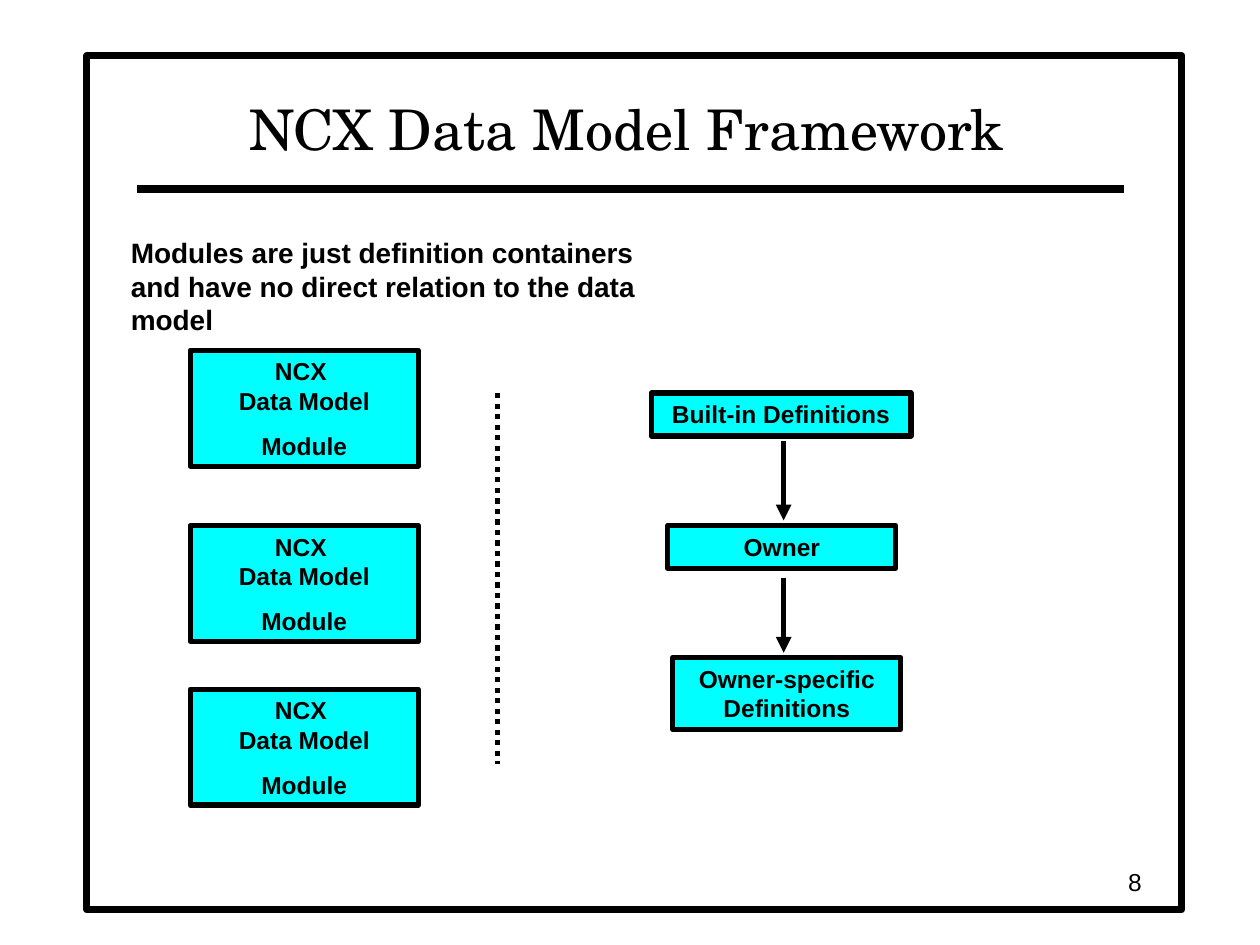
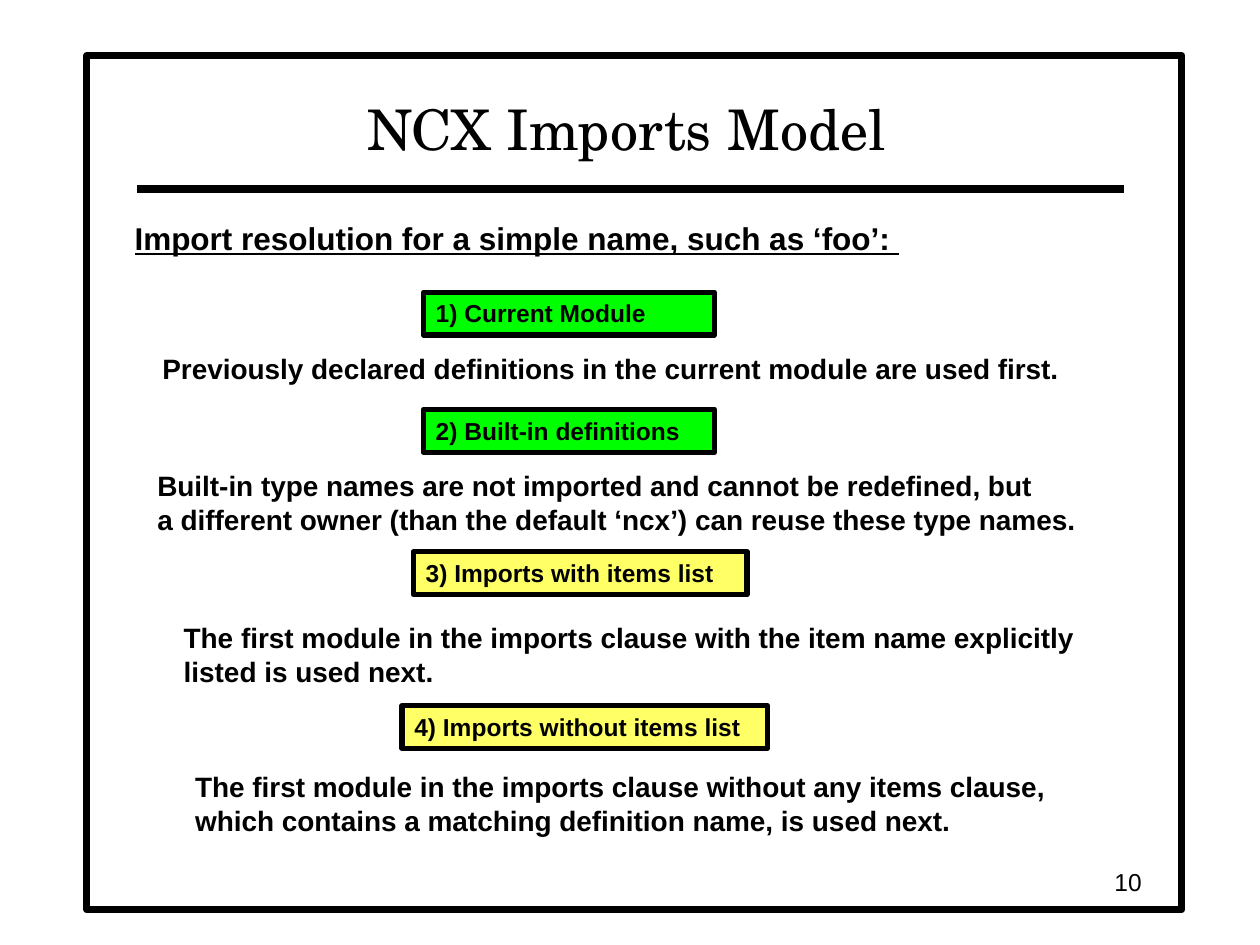
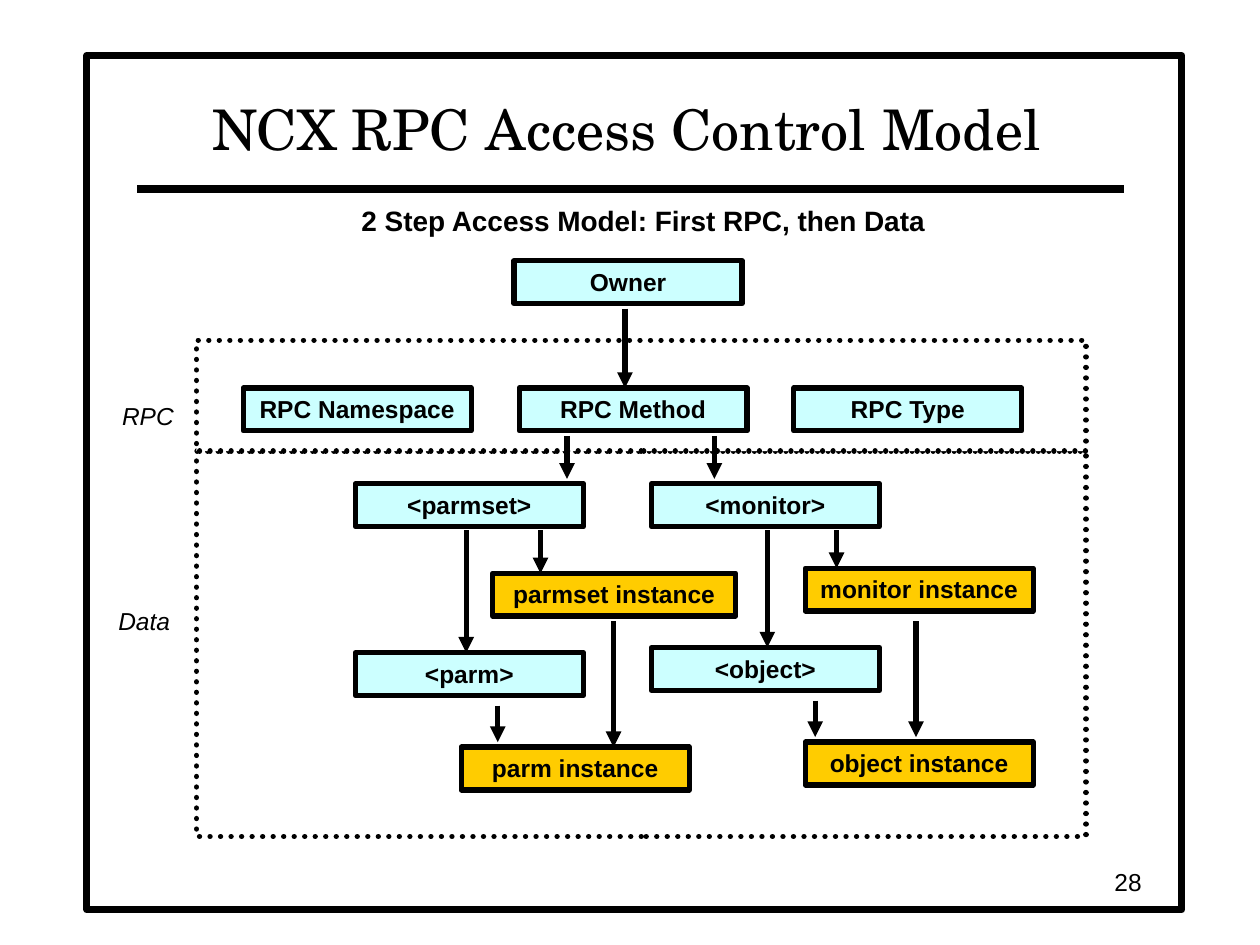
from lxml.etree import SubElement
from pptx import Presentation
from pptx.dml.color import RGBColor
from pptx.enum.dml import MSO_LINE
from pptx.enum.shapes import MSO_CONNECTOR, MSO_SHAPE
from pptx.enum.text import MSO_ANCHOR, MSO_AUTO_SIZE, PP_ALIGN
from pptx.oxml.ns import qn
from pptx.util import Inches, Pt

BLACK = RGBColor(0x00, 0x00, 0x00)
WHITE = RGBColor(0xFF, 0xFF, 0xFF)
CYAN = RGBColor(0x00, 0xFF, 0xFF)
GREEN = RGBColor(0x00, 0xFF, 0x00)
LEMON = RGBColor(0xFF, 0xFF, 0x66)
PALE = RGBColor(0xCC, 0xFF, 0xFF)
GOLD = RGBColor(0xFF, 0xCC, 0x00)

# Text formats
TITLE = dict(name="TeX Gyre Schola", size=Pt(32))
PLAIN = dict(name="Arial", size=Pt(14))
LABEL = dict(PLAIN, bold=True)
ITALIC = dict(PLAIN, italic=True)
BODY = dict(LABEL, size=Pt(16))
HEAD = dict(LABEL, size=Pt(18), underline=True)

WIDE, HIGH = 1.81, 0.34  # usual box size

# Slide 1: module column and definition chain
INTRO = "Modules are just definition containers\nand have no direct relation to the data model"
MODULE = ["NCX \nData Model", "Module"]
MOD_TOPS = [2.78, 4.17, 5.47]
CHAIN = [
    ("Built-in Definitions", 5.17, 3.12, 2.06, HIGH),
    ("Owner", 5.3, 4.17, WIDE, HIGH),
    ("Owner-specific\nDefinitions", 5.34, 5.22, WIDE, 0.57),
]
CHAIN_ARROWS = [(6.22, 3.5, 4.13), (6.22, 4.59, 5.18)]

# Slide 2: label, fill, top, width, then note with its place
ASK = "Import resolution for a simple name, such as ‘foo’: "
STEPS = [
    ("1) Current Module", GREEN, (3.36, 2.32, 2.31, HIGH),
     "Previously declared definitions in the current module are used first.",
     (1.19, 2.74, 7.38, 0.37)),
    ("2) Built-in definitions", GREEN, (3.36, 3.25, 2.31, HIGH),
     "Built-in type names are not imported and cannot be redefined, but\n"
     "a different owner (than the default ‘ncx’) can reuse these type names.",
     (1.15, 3.67, 7.49, 0.64)),
    ("3) Imports with items list", LEMON, (3.28, 4.38, 2.65, HIGH),
     "The first module in the imports clause with the item name explicitly \n"
     "listed is used next.",
     (1.36, 4.88, 7.33, 0.64)),
    ("4) Imports without items list", LEMON, (3.19, 5.6, 2.9, HIGH),
     "The first module in the imports clause without any items clause,\n"
     "which contains a matching definition name, is used next.",
     (1.45, 6.06, 6.95, 0.64)),
]

# Slide 3: zones, nodes by fill, arrows as x, top, bottom
ACCESS = "2 Step Access Model: First RPC, then Data"
ZONES = [("Data", 3.58, 3.06, (0.84, 4.76)), ("RPC", 2.7, 0.88, (0.87, 3.13))]
NODES = {
    PALE: [
        ("Owner", 4.08, 2.07, WIDE),
        ("RPC Namespace", 1.93, 3.08, WIDE),
        ("RPC Method", 4.12, 3.08, WIDE),
        ("RPC Type", 6.3, 3.08, WIDE),
        ("<parmset>", 2.82, 3.84, WIDE),
        ("<monitor>", 5.17, 3.84, WIDE),
        ("<parm>", 2.82, 5.18, WIDE),
        ("<object>", 5.17, 5.14, WIDE),
    ],
    GOLD: [
        ("parmset instance", 3.91, 4.55, 1.93),
        ("monitor instance", 6.39, 4.51, WIDE),
        ("parm instance", 3.66, 5.93, WIDE),
        ("object instance", 6.39, 5.89, WIDE),
    ],
}
NODE_ARROWS = [
    (4.96, 2.45, 3.08), (4.5, 3.46, 3.8), (5.67, 3.46, 3.8),
    (3.7, 4.21, 5.18), (4.29, 4.21, 4.55), (6.09, 4.21, 5.14),
    (6.64, 4.21, 4.51), (3.95, 5.6, 5.89), (6.47, 5.56, 5.85),
    (4.87, 4.93, 5.93), (7.27, 4.93, 5.85),
]


def write(shape, paras, form, align=PP_ALIGN.LEFT, **frame):
    """Fill a shape with paragraphs in one format."""
    text = shape.text_frame
    frame = dict(word_wrap=True, vertical_anchor=MSO_ANCHOR.TOP) | frame
    for key, val in frame.items():
        setattr(text, key, val)
    for num, line in enumerate(paras):
        para = text.add_paragraph() if num else text.paragraphs[0]
        para.text = line
        para.alignment = align
        if num:
            para.space_before = Pt(8.8)
        for run in para.runs:
            run.font.color.rgb = BLACK
            for key, val in form.items():
                setattr(run.font, key, val)


def note(slide, at, line, form, align=PP_ALIGN.LEFT, **frame):
    box = slide.shapes.add_textbox(*map(Inches, at))
    write(box, [line], form, align, **frame)


def loose(slide, at, line, form):
    """Add a text box that grows with its unwrapped text."""
    note(slide, at, line, form, word_wrap=False,
         auto_size=MSO_AUTO_SIZE.SHAPE_TO_FIT_TEXT)


def rect(slide, at, fill, weight=3):
    box = slide.shapes.add_shape(MSO_SHAPE.RECTANGLE, *map(Inches, at))
    box.shadow.inherit = False
    box.fill.solid()
    box.fill.fore_color.rgb = fill
    box.line.color.rgb = BLACK
    box.line.width = Pt(weight)
    return box


def block(slide, at, fill, paras, align=PP_ALIGN.CENTER):
    write(rect(slide, at, fill), paras, LABEL, align,
          auto_size=MSO_AUTO_SIZE.SHAPE_TO_FIT_TEXT)


def rule(slide, start, end, weight=3):
    line = slide.shapes.add_connector(
        MSO_CONNECTOR.STRAIGHT, *map(Inches, start + end))
    line.line.color.rgb = BLACK
    line.line.width = Pt(weight)
    SubElement(line._element.spPr, qn("a:effectLst"))
    return line


def arrows(slide, places):
    for x, top, end in places:
        line = rule(slide, (x, top), (x, end))
        SubElement(line.line._get_or_add_ln(), qn("a:tailEnd"), type="triangle")


def start(deck, title, page):
    """Add a slide with the shared frame, title, rule and page number."""
    slide = deck.slides.add_slide(deck.slide_layouts[6])
    rect(slide, (0.69, 0.44, 8.69, 6.78), WHITE, 4)
    rule(slide, (1.09, 1.5), (8.92, 1.5), 4.5)
    note(slide, (1.08, 0.58, 7.79, 0.75), title, TITLE, PP_ALIGN.CENTER,
         vertical_anchor=MSO_ANCHOR.BOTTOM)
    note(slide, (7.08, 6.83, 2.08, 0.33), page, PLAIN, PP_ALIGN.RIGHT,
         vertical_anchor=MSO_ANCHOR.MIDDLE)
    return slide


def models(deck):
    slide = start(deck, "NCX Data Model Framework", "8")
    loose(slide, (0.94, 1.82, 4.91, 0.64), INTRO, BODY)
    for top in MOD_TOPS:
        block(slide, (1.51, top, WIDE, 0.92), CYAN, MODULE)
    split = rule(slide, (3.95, 3.12), (3.95, 6.06))
    split.line.dash_style = MSO_LINE.ROUND_DOT
    for name, *at in CHAIN:
        block(slide, at, CYAN, [name])
    arrows(slide, CHAIN_ARROWS)


def imports(deck):
    slide = start(deck, "NCX Imports Model", "10")
    loose(slide, (0.97, 1.69, 6.27, 0.4), ASK, HEAD)
    for name, fill, at, text, place in STEPS:
        block(slide, at, fill, [name], PP_ALIGN.LEFT)
        loose(slide, place, text, BODY)


def access(deck):
    slide = start(deck, "NCX RPC Access Control Model", "28")
    for name, top, high, place in ZONES:
        zone = rect(slide, (1.56, top, 7.06, high), WHITE)
        zone.line.dash_style = MSO_LINE.ROUND_DOT
        zone.line._get_or_add_ln().set("cap", "rnd")
        loose(slide, place + (0.61, HIGH), name, ITALIC)
    note(slide, (2.77, 1.57, 4.87, 0.37), ACCESS, BODY)
    for fill, nodes in NODES.items():
        for name, *at in nodes:
            block(slide, at + [HIGH], fill, [name])
    arrows(slide, NODE_ARROWS)


def main():
    deck = Presentation()
    deck.slide_width, deck.slide_height = Inches(10), Inches(7.5)
    for build in (models, imports, access):
        build(deck)
    deck.save("out.pptx")


if __name__ == "__main__":
    main()
